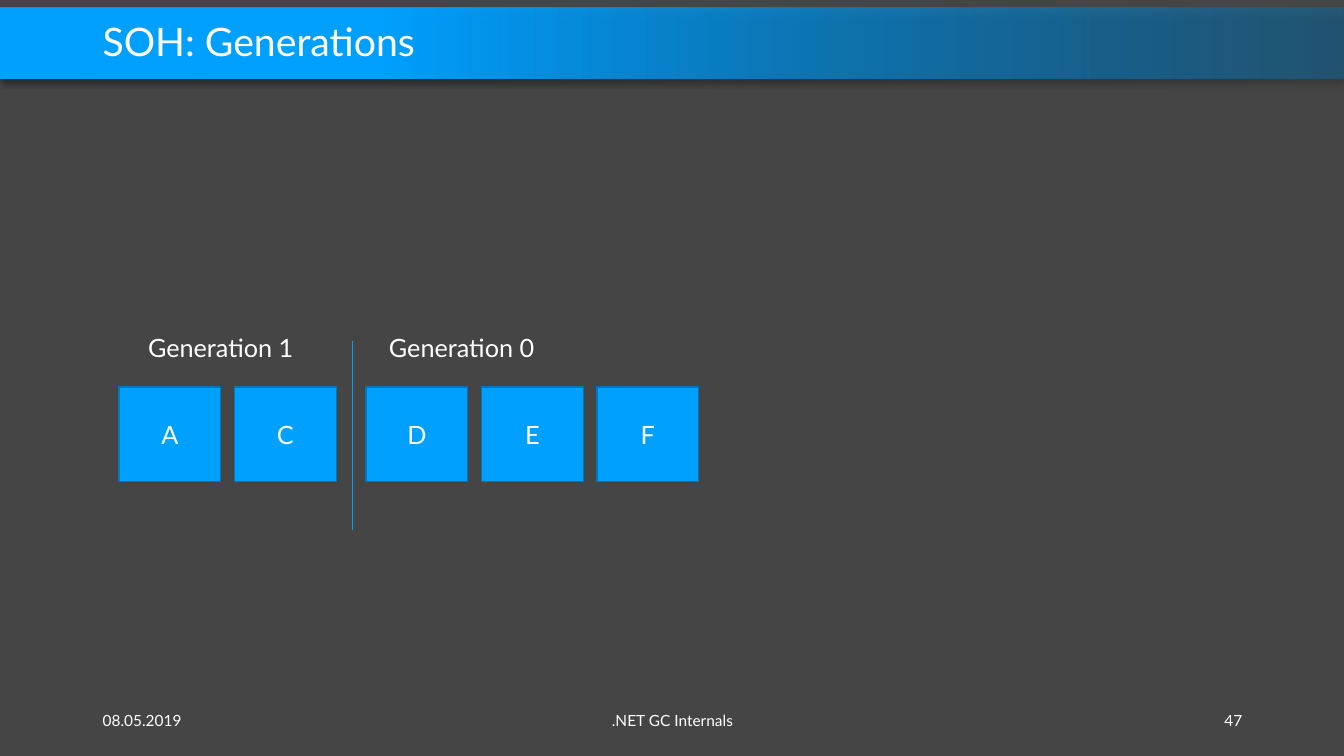
from lxml import etree
from pptx import Presentation
from pptx.dml.color import RGBColor
from pptx.enum import shapes, text
from pptx.oxml import ns
from pptx.util import Inches, Pt

BACKGROUND = RGBColor(0x45, 0x45, 0x45)
WHITE = RGBColor(0xFF, 0xFF, 0xFF)
BLUE = RGBColor(0x00, 0xA0, 0xFF)
EDGE_BLUE = RGBColor(0x00, 0x76, 0xBD)
BAND_BLUE = RGBColor(0x00, 0x78, 0xBF)
BLACK = RGBColor(0x00, 0x00, 0x00)

FONT = "Lato"
LEFT, CENTER, RIGHT = (text.PP_ALIGN.LEFT, text.PP_ALIGN.CENTER,
                       text.PP_ALIGN.RIGHT)
MIDDLE, TOP = text.MSO_ANCHOR.MIDDLE, text.MSO_ANCHOR.TOP

OBJECT_TOP, OBJECT_W, OBJECT_H, OBJECT_STEP = 3.84, 1.01, 0.94, 1.145
GENERATIONS = [  # label, label left, first object left, objects
    ("Generation 1", 1.37, 1.18, "AC"),
    ("Generation 0", 3.76, 3.63, "DEF"),
]
FOOTER = [  # words, left, width, alignment
    ("08.05.2019", 0.92, 3, LEFT),
    (".NET GC Internals", 4.42, 4.5, CENTER),
    ("47", 9.42, 3, RIGHT),
]


def add_child(parent, tag, **attributes):
    return etree.SubElement(parent, ns.qn(tag), attributes)


def write(tf, words, size, align, anchor):
    tf.vertical_anchor = anchor
    p = tf.paragraphs[0]
    p.text = words
    p.alignment = align
    p.font.name = FONT
    p.font.size = Pt(size)
    p.font.color.rgb = WHITE
    return p


def add_text(s, words, x, y, w, h, size, align=LEFT, anchor=MIDDLE, wrap=True):
    tf = s.shapes.add_textbox(Inches(x), Inches(y), Inches(w), Inches(h)).text_frame
    tf.word_wrap = wrap
    if not wrap:
        tf.auto_size = text.MSO_AUTO_SIZE.SHAPE_TO_FIT_TEXT
    return write(tf, words, size, align, anchor)


def add_rect(s, x, y, w, h):
    sp = s.shapes.add_shape(shapes.MSO_SHAPE.RECTANGLE,
                            Inches(x), Inches(y), Inches(w), Inches(h))
    sp.shadow.inherit = False
    return sp


def add_title_band(s):
    """Draw the band that fades out to the right and casts a soft shadow."""
    sp = add_rect(s, 0, 0.08, 13.33, 0.7)
    sp.line.fill.background()
    sp.fill.gradient()
    sp.fill.gradient_angle = 180
    faded, solid = sp.fill.gradient_stops
    faded.position, faded.color.rgb = 0, BAND_BLUE
    solid.position, solid.color.rgb = 0.72, BLUE
    sp_pr = sp._element.spPr
    add_child(sp_pr.find(".//" + ns.qn("a:srgbClr")), "a:alpha", val="40000")
    shadow = add_child(sp_pr.find(ns.qn("a:effectLst")), "a:outerShdw",
                       blurRad=str(Pt(4)), dist=str(Pt(3)), dir="5400000",
                       algn="t", rotWithShape="0")
    color = add_child(shadow, "a:srgbClr", val=str(BLACK))
    add_child(color, "a:alpha", val="40000")


def add_object(s, letter, x):
    sp = add_rect(s, x, OBJECT_TOP, OBJECT_W, OBJECT_H)
    sp.fill.solid()
    sp.fill.fore_color.rgb = BLUE
    sp.line.color.rgb = EDGE_BLUE
    sp.line.width = Pt(1)
    write(sp.text_frame, letter, 18, CENTER, MIDDLE)


def add_generation(s, label, label_x, first_x, letters):
    add_text(s, label, label_x, 3.25, 1.64, 0.4, 18, anchor=TOP, wrap=False)
    for i, letter in enumerate(letters):
        add_object(s, letter, first_x + i * OBJECT_STEP)


def add_divider(s, x, top, bottom):
    line = s.shapes.add_connector(shapes.MSO_CONNECTOR.STRAIGHT, Inches(x),
                                  Inches(top), Inches(x), Inches(bottom))
    line.line.color.rgb = BLUE
    line.line.width = Pt(0.5)
    add_child(line._element.spPr, "a:effectLst")


def main():
    prs = Presentation()
    prs.slide_width, prs.slide_height = Inches(13.33), Inches(7.5)
    s = prs.slides.add_slide(prs.slide_layouts[6])
    s.background.fill.solid()
    s.background.fill.fore_color.rgb = BACKGROUND

    add_title_band(s)
    title = add_text(s, "SOH: Generations", 0.92, 0.16, 11.5, 0.55, 28)
    title.line_spacing = 0.9
    for words, x, w, align in FOOTER:
        add_text(s, words, x, 6.95, w, 0.4, 11, align)
    for generation in GENERATIONS:
        add_generation(s, *generation)
    add_divider(s, 3.49, 3.38, 5.26)
    prs.save("out.pptx")


if __name__ == "__main__":
    main()
